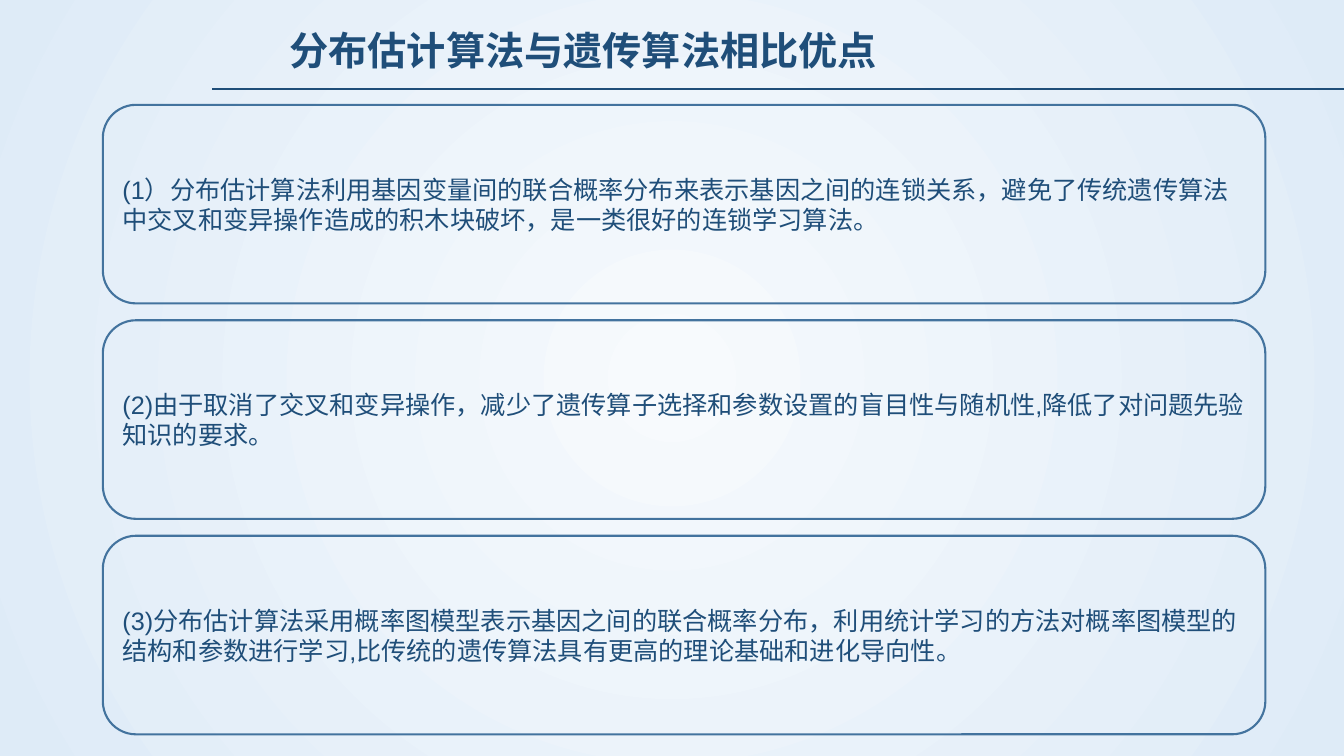
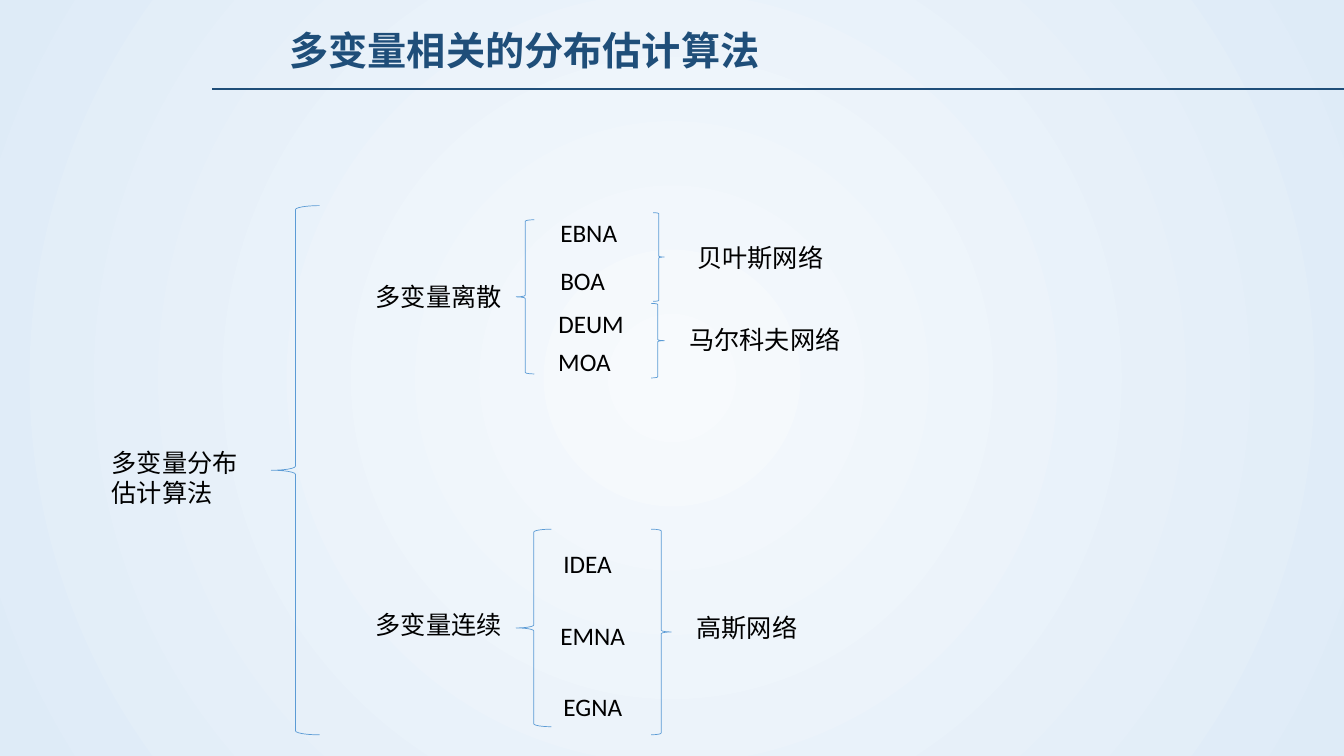
from dataclasses import dataclass

from lxml.etree import SubElement
from pptx import Presentation
from pptx.dml.color import RGBColor as Rgb
from pptx.enum.shapes import MSO_CONNECTOR as Connector
from pptx.enum.shapes import MSO_SHAPE as Shape
from pptx.enum.text import MSO_ANCHOR as Anchor
from pptx.enum.text import PP_ALIGN as Align
from pptx.oxml.ns import qn
from pptx.util import Inches, Pt


@dataclass(frozen=True)
class Theme:
    navy: Rgb = Rgb.from_string("1F4E79")
    card_edge: Rgb = Rgb.from_string("43739E")
    brace: Rgb = Rgb.from_string("5B9BD5")
    ink: Rgb = Rgb.from_string("000000")
    glow: Rgb = Rgb.from_string("F7FAFD")
    sky: Rgb = Rgb.from_string("DEEBF7")
    title_size: Pt = Pt(28)
    body_size: Pt = Pt(18)
    chinese: str = "Noto Sans CJK SC"
    card_font: str = "Arial"
    label_font: str = "Calibri"


theme = Theme()
deck = Presentation()
deck.slide_width, deck.slide_height = Inches(13.33), Inches(7.5)


def area(left, top, width, height):
    """Turn percentages of the slide into lengths."""
    across, down = deck.slide_width / 100, deck.slide_height / 100
    return [round(n) for n in (left * across, top * down, width * across, height * down)]


def write(holder, text, font_name, size, color, bold=False):
    frame = holder.text_frame
    frame.word_wrap = True
    frame.text = text
    paragraph = frame.paragraphs[0]
    paragraph.alignment = Align.LEFT
    font = paragraph.font
    font.name, font.size, font.bold = font_name, size, bold
    font.color.rgb = color
    for defaults in holder.element.iter(qn("a:defRPr")):
        SubElement(defaults, qn("a:ea"), typeface=theme.chinese)


# Shared background: a round glow from the centre
backdrop = deck.slide_master.background.fill
backdrop.gradient()
for stop, color in zip(backdrop.gradient_stops, (theme.glow, theme.sky)):
    stop.color.rgb = color
linear = next(deck.slide_master.element.iter(qn("a:lin")))
gradient = linear.getparent()
gradient.remove(linear)
circle = SubElement(gradient, qn("a:path"), path="circle")
SubElement(circle, qn("a:fillToRect"), l="50000", t="50000", r="50000", b="50000")

# Shared header: title above a rule that runs to the right edge
slides = []
for heading, heading_width in (
    ("分布估计算法与遗传算法相比优点", 58.6),
    ("多变量相关的分布估计算法", 38.9),
):
    slide = deck.slides.add_slide(deck.slide_layouts[6])
    left, top, width, _ = area(15.8, 11.75, 84.2, 0)
    rule = slide.shapes.add_connector(Connector.STRAIGHT, left, top, left + width, top)
    rule.line.color.rgb = theme.navy
    rule.line.width = Pt(1.25)
    SubElement(rule.element.spPr, qn("a:effectLst"))
    title = slide.shapes.add_textbox(*area(20.8, 2.8, heading_width, 7.6))
    write(title, heading, theme.chinese, theme.title_size, theme.navy, bold=True)
    slides.append(slide)
advantages, taxonomy = slides

# Slide 1: three advantages in equal rows
for row, advantage in enumerate((
    "(1）分布估计算法利用基因变量间的联合概率分布来表示基因之间的连锁关系，"
    "避免了传统遗传算法中交叉和变异操作造成的积木块破坏，是一类很好的连锁学习算法。",
    "(2)由于取消了交叉和变异操作，减少了遗传算子选择和参数设置的盲目性与随机性,"
    "降低了对问题先验知识的要求。",
    "(3)分布估计算法采用概率图模型表示基因之间的联合概率分布，"
    "利用统计学习的方法对概率图模型的结构和参数进行学习,"
    "比传统的遗传算法具有更高的理论基础和进化导向性。",
)):
    card = advantages.shapes.add_shape(
        Shape.ROUNDED_RECTANGLE, *area(7.65, 13.87 + 28.5 * row, 86.5, 26.27))
    card.shadow.inherit = False
    card.fill.background()
    card.line.color.rgb = theme.card_edge
    card.line.width = Pt(1.5)
    card.text_frame.vertical_anchor = Anchor.MIDDLE
    write(card, advantage, theme.card_font, theme.body_size, theme.navy)

# Slide 2: braces of the tree
for side, *place in (
    (Shape.LEFT_BRACE, 20.18, 27.2, 3.6, 70),
    (Shape.LEFT_BRACE, 38.4, 29.07, 1.35, 20.4),
    (Shape.LEFT_BRACE, 38.4, 70, 2.63, 26.13),
    (Shape.RIGHT_BRACE, 48.6, 28.13, 0.83, 11.73),
    (Shape.RIGHT_BRACE, 48.45, 40.13, 0.98, 9.87),
    (Shape.RIGHT_BRACE, 48.45, 70, 1.5, 27.2),
):
    brace = taxonomy.shapes.add_shape(side, *area(*place))
    brace.shadow.inherit = False
    brace.fill.background()
    brace.line.color.rgb = theme.brace
    brace.line.width = Pt(0.5)

# Slide 2: labels from root to networks, as left, top, width
one_line, two_lines = 5.33, 9.47
for label, left, top, width, height in (
    ("多变量分布估计算法", 7.58, 58.53, 11.93, two_lines),
    ("多变量离散", 27.22, 36.53, 11, one_line),
    ("多变量连续", 27.22, 80, 11, one_line),
    ("EBNA", 40.95, 28.13, 5.9, one_line),
    ("BOA", 40.95, 34.4, 5, one_line),
    ("DEUM", 40.8, 40.13, 7.5, one_line),
    ("MOA", 40.8, 45.2, 5.6, one_line),
    ("IDEA", 41.18, 71.87, 50, one_line),
    ("EMNA", 40.95, 81.33, 7.5, one_line),
    ("EGNA", 41.18, 90.8, 50, one_line),
    ("贝叶斯网络", 51.15, 31.33, 11, one_line),
    ("马尔科夫网络", 50.55, 42.27, 13.9, one_line),
    ("高斯网络", 51.08, 80.4, 9.2, one_line),
):
    node = taxonomy.shapes.add_textbox(*area(left, top, width, height))
    write(node, label, theme.label_font, theme.body_size, theme.ink)

deck.save("out.pptx")
